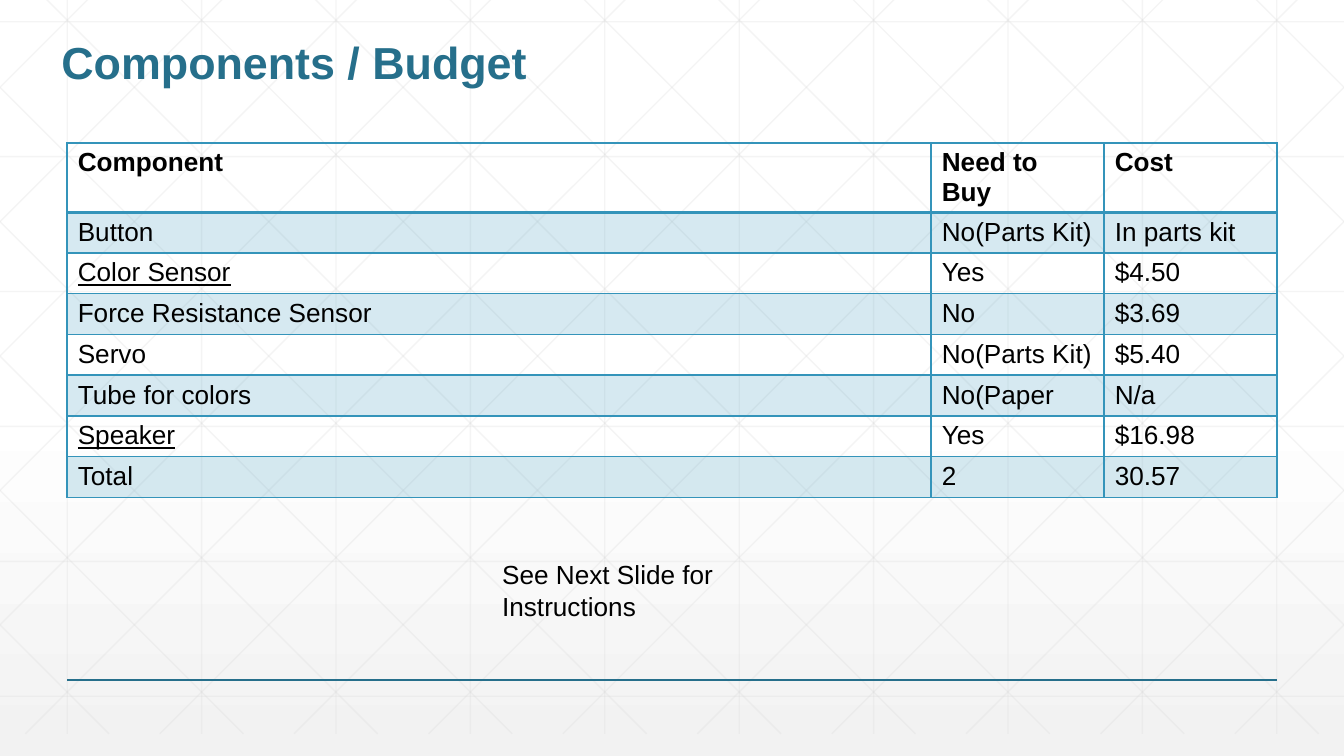
import copy
import dataclasses
import typing

import pptx
import pptx.dml.color
import pptx.enum.shapes
import pptx.enum.text
import pptx.oxml
import pptx.oxml.ns
import pptx.util

Cm = pptx.util.Cm
Pt = pptx.util.Pt
qn = pptx.oxml.ns.qn

FONT = "Arial"
TEAL, BLUE, GRID, BLACK = "266F8B", "3494BA", "D8D8D8", "000000"
PAGE_WIDTH, PAGE_HEIGHT = 25.4, 14.29
GRID_STEP, GRID_TOP, GRID_BOTTOM = 2.54, -0.41, 13.87
MARGIN = 1.27


@dataclasses.dataclass
class Line:
    x1: float
    y1: float
    x2: float
    y2: float
    color: str = GRID
    width: float = 0.75
    opacity: int = 25


@dataclasses.dataclass
class Component:
    name: str
    need: str
    cost: str
    underlined: bool = False


COMPONENTS = [
    Component("Component", "Need to Buy", "Cost"),
    Component("Button", "No(Parts Kit)", "In parts kit"),
    Component("Color Sensor", "Yes", "$4.50", underlined=True),
    Component("Force Resistance Sensor", "No", "$3.69"),
    Component("Servo", "No(Parts Kit)", "$5.40"),
    Component("Tube for colors", "No(Paper", "N/a"),
    Component("Speaker", "Yes", "$16.98", underlined=True),
    Component("Total", "2", "30.57"),
]


def rgb(color: str) -> pptx.dml.color.RGBColor:
    return pptx.dml.color.RGBColor.from_string(color)


def set_opacity(element, percent: int) -> None:
    """Add an alpha value to the colour inside a fill or line element."""
    color = next(element.iter(qn("a:srgbClr")))
    alpha = pptx.oxml.parse_xml(f'<a:alpha {pptx.oxml.ns.nsdecls("a")} val="{percent * 1000}"/>')
    color.append(alpha)


def style_text(frame, size: float, color: str = BLACK, bold: bool = False,
               underlined: bool = False) -> None:
    for para in frame.paragraphs:
        for span in para.runs:
            span.font.name = FONT
            span.font.size = Pt(size)
            span.font.bold = bold
            span.font.underline = underlined
            span.font.color.rgb = rgb(color)


def set_insets(item, horizontal: float, vertical: float) -> None:
    item.margin_left = item.margin_right = Cm(horizontal)
    item.margin_top = item.margin_bottom = Cm(vertical)


def draw_line(page, line: Line) -> None:
    connector = page.shapes.add_connector(
        pptx.enum.shapes.MSO_CONNECTOR.STRAIGHT,
        Cm(line.x1), Cm(line.y1), Cm(line.x2), Cm(line.y2))
    connector.line.color.rgb = rgb(line.color)
    connector.line.width = Pt(line.width)
    properties = connector._element.spPr
    if line.opacity < 100:
        set_opacity(properties, line.opacity)
    properties.append(pptx.oxml.parse_xml(f'<a:effectLst {pptx.oxml.ns.nsdecls("a")}/>'))


def grid_lines() -> typing.Iterator[Line]:
    for column in range(10):
        x = MARGIN + column * GRID_STEP
        yield Line(x, GRID_TOP, x, GRID_BOTTOM)
    for row in range(6):
        y = 0.41 + row * 2.55
        yield Line(0, y, PAGE_WIDTH, y)
    # Diagonals run at 45 degrees, are cut at the page sides and are mirrored
    for step in range(-5, 10):
        start = 0.48 + step * GRID_STEP
        x1 = max(start, 0)
        x2 = min(start + GRID_BOTTOM - GRID_TOP, PAGE_WIDTH)
        y1, y2 = GRID_TOP + x1 - start, GRID_TOP + x2 - start
        yield Line(x1, y1, x2, y2)
        yield Line(PAGE_WIDTH - x1, y1, PAGE_WIDTH - x2, y2)


def paint_background(page) -> None:
    fill = page.background.fill
    fill.gradient()
    fill.gradient_angle = 270
    stop_list = next(page.element.iter(qn("a:gsLst")))
    stop_list.insert(1, copy.deepcopy(stop_list[0]))
    values = [(0, "FFFFFF"), (0.53, "FFFFFF"), (1, "F2F2F2")]
    for stop, (position, color) in zip(fill.gradient_stops, values):
        stop.position = position
        stop.color.rgb = rgb(color)


def set_borders(cell, bottom_width: float, top_width: float) -> None:
    properties = cell._tc.get_or_add_tcPr()
    widths = {"lnL": 1, "lnR": 1, "lnT": top_width, "lnB": bottom_width}
    for index, (side, width) in enumerate(widths.items()):
        properties.insert(index, pptx.oxml.parse_xml(
            f'<a:{side} {pptx.oxml.ns.nsdecls("a")} w="{Pt(width)}"><a:solidFill>'
            f'<a:srgbClr val="{BLUE}"/></a:solidFill><a:prstDash val="solid"/></a:{side}>'))


def draw_budget(page, components: list[Component]) -> None:
    widths, row_height = [16.33, 3.27, 3.27], 0.77
    table = page.shapes.add_table(
        len(components), len(widths), Cm(MARGIN), Cm(2.7),
        Cm(sum(widths)), Cm(row_height * len(components))).table
    table.first_row = table.horz_banding = False
    for column, width in zip(table.columns, widths):
        column.width = Cm(width)
    for index, component in enumerate(components):
        table.rows[index].height = Cm(row_height)
        texts = [component.name, component.need, component.cost]
        for column, text in enumerate(texts):
            cell = table.cell(index, column)
            cell.text_frame.text = text
            set_insets(cell, 0.2, 0.1)
            style_text(cell.text_frame, 14, bold=index == 0,
                       underlined=component.underlined and column == 0)
            if index % 2:
                cell.fill.solid()
                cell.fill.fore_color.rgb = rgb(BLUE)
                set_opacity(cell._tc.tcPr, 20)
            else:
                cell.fill.background()
            set_borders(cell, bottom_width=2 if index == 0 else 1,
                        top_width=2 if index == 1 else 1)


def draw_title(page, text: str) -> None:
    title = page.shapes.title
    title.left, title.top, title.width, title.height = Cm(0.97), Cm(0.36), Cm(17.15), Cm(1.42)
    frame = title.text_frame
    frame.text = text
    frame.word_wrap = True
    frame.auto_size = pptx.enum.text.MSO_AUTO_SIZE.NONE
    frame.vertical_anchor = pptx.enum.text.MSO_ANCHOR.BOTTOM
    set_insets(frame, 0.19, 0.1)
    frame.paragraphs[0].alignment = pptx.enum.text.PP_ALIGN.LEFT
    frame.paragraphs[0].line_spacing = 0.9
    style_text(frame, 24, TEAL, bold=True)
    # Bring the title in front of the grid
    title._element.getparent().append(title._element)


def draw_note(page, text: str) -> None:
    box = page.shapes.add_textbox(Cm(9.3), Cm(10.46), Cm(6.86), Cm(1.4))
    frame = box.text_frame
    frame.word_wrap = True
    frame.text = text
    set_insets(frame, 0.19, 0.1)
    style_text(frame, 14)


def main() -> None:
    deck = pptx.Presentation()
    deck.slide_width, deck.slide_height = Cm(PAGE_WIDTH), Cm(PAGE_HEIGHT)
    page = deck.slides.add_slide(deck.slide_layouts[5])

    # Backdrop
    paint_background(page)
    for line in grid_lines():
        draw_line(page, line)
    draw_line(page, Line(MARGIN, 12.85, PAGE_WIDTH - MARGIN, 12.85, TEAL, 1, 100))

    # Content
    draw_title(page, "Components / Budget")
    draw_budget(page, COMPONENTS)
    draw_note(page, "See Next Slide for Instructions")
    deck.save("out.pptx")


if __name__ == "__main__":
    main()
